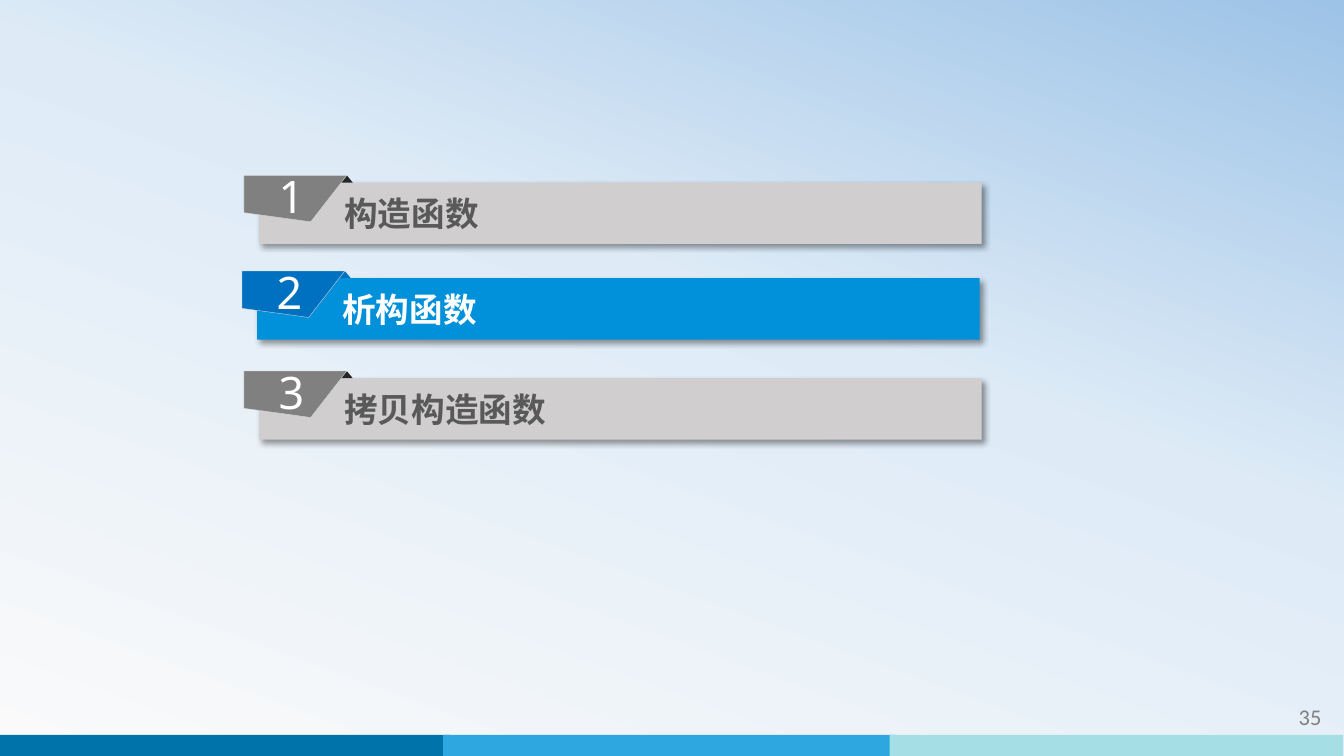
from dataclasses import dataclass

from lxml import etree
from pptx import Presentation
from pptx.dml.color import RGBColor
from pptx.enum.shapes import MSO_SHAPE
from pptx.enum.text import MSO_ANCHOR, PP_ALIGN
from pptx.oxml import parse_xml
from pptx.oxml.ns import nsdecls, qn
from pptx.util import Cm, Pt

RECTANGLE = MSO_SHAPE.RECTANGLE
TRIANGLE = MSO_SHAPE.ISOSCELES_TRIANGLE
MIDDLE = MSO_ANCHOR.MIDDLE
LEFT, CENTER, RIGHT = PP_ALIGN.LEFT, PP_ALIGN.CENTER, PP_ALIGN.RIGHT


@dataclass(frozen=True)
class RowColors:
    bar: str
    tag: str
    fold: str
    label: str


@dataclass(frozen=True)
class Theme:
    plain: RowColors = RowColors("D0CECE", "808080", "262626", "595959")
    active: RowColors = RowColors("0091DA", "0070C0", "0070C0", "FFFFFF")
    number: str = "FFFFFF"
    tag_edge: str = "D9D9D9"
    page: str = "808080"
    footer: tuple = ("0073AB", "2EA7E0", "A5DEE4")
    backdrop: tuple = ((0, "FAFAFA"), (58, "DEEBF7"), (100, "9DC3E6"))
    label_font: str = "Noto Sans CJK SC"
    number_font: str = "Noto Sans"
    page_font: str = "Calibri"
    label_size: int = 24
    number_size: int = 32
    page_size: int = 16


THEME = Theme()

# Tag position (cm), label and colours of each agenda row
AGENDA = (
    (6.15, 4.42, "构造函数", THEME.plain),
    (6.10, 6.83, "析构函数", THEME.active),
    (6.15, 9.35, "拷贝构造函数", THEME.plain),
)


def rgb(color):
    return RGBColor.from_string(color)


def paint_background(slide):
    fill = slide.background.fill
    fill.gradient()
    fill.gradient_angle = 70
    stops = slide.background._cSld.find(".//" + qn("a:gsLst"))
    for stop in list(stops):
        stops.remove(stop)
    for percent, color in THEME.backdrop:
        stop = etree.SubElement(stops, qn("a:gs"), pos=str(percent * 1000))
        etree.SubElement(stop, qn("a:srgbClr"), val=color)


def add_block(shapes, kind, left, top, width, height, color):
    block = shapes.add_shape(kind, Cm(left), Cm(top), Cm(width), Cm(height))
    block.shadow.inherit = False
    block.fill.solid()
    block.fill.fore_color.rgb = rgb(color)
    block.line.fill.background()
    return block


def write(shape, text, font_name, size, color, align, bold=False):
    paragraph = shape.text_frame.paragraphs[0]
    paragraph.alignment = align
    run = paragraph.add_run()
    run.text = text
    font = run.font
    font.name, font.size, font.bold = font_name, Pt(size), bold
    font.color.rgb = rgb(color)
    latin = run._r.rPr.find(qn("a:latin"))
    latin.addnext(latin.makeelement(qn("a:ea"), {"typeface": font_name}))


def set_insets(frame, left, top, right, bottom):
    frame.margin_left, frame.margin_top = Cm(left), Cm(top)
    frame.margin_right, frame.margin_bottom = Cm(right), Cm(bottom)


def cast_shadow(shape):
    effects = shape._element.spPr.find(qn("a:effectLst"))
    effects.append(parse_xml(
        f'<a:outerShdw {nsdecls("a")} blurRad="{Pt(4)}" dist="{Pt(3)}" '
        'dir="2700000" algn="tl" rotWithShape="0"><a:srgbClr val="000000">'
        '<a:alpha val="40000"/></a:srgbClr></a:outerShdw>'))


def add_number_tag(shapes, left, top, number, color):
    outline = ((0, 0), (2.59, 0), (1.68, 1.17), (0, 0.94))
    corners = [(Cm(left + x), Cm(top + y)) for x, y in outline]
    builder = shapes.build_freeform(*corners[0])
    builder.add_line_segments(corners[1:], close=True)
    tag = builder.convert_to_shape()
    tag.shadow.inherit = False
    tag.fill.solid()
    tag.fill.fore_color.rgb = rgb(color)
    tag.line.color.rgb = rgb(THEME.tag_edge)
    tag.line.width = Pt(0.25)
    tag.text_frame.vertical_anchor = MIDDLE
    set_insets(tag.text_frame, 0.23, 0.1, 0.43, 0.25)
    write(tag, str(number), THEME.number_font, THEME.number_size,
          THEME.number, CENTER)


def add_agenda_row(slide, number, left, top, label, colors):
    shapes = slide.shapes.add_group_shape().shapes
    # Label bar
    bar = add_block(shapes, RECTANGLE, left + 0.38, top + 0.18, 18.21, 1.55,
                    colors.bar)
    cast_shadow(bar)
    bar.text_frame.vertical_anchor = MIDDLE
    set_insets(bar.text_frame, 2.15, 0.13, 0.25, 0.13)
    write(bar, label, THEME.label_font, THEME.label_size, colors.label,
          LEFT, bold=True)
    # Folded corner behind the number tag
    add_block(shapes, TRIANGLE, left + 2.44, top, 0.3, 0.18, colors.fold)
    add_number_tag(shapes, left, top, number, colors.tag)


def add_footer(slide, page):
    for index, color in enumerate(THEME.footer):
        add_block(slide.shapes, RECTANGLE, -0.08 + index * 11.25, 18.52,
                  11.43, 0.53, color)
    page_box = slide.shapes.add_textbox(Cm(29.51), Cm(17.55), Cm(4.04), Cm(1.02))
    page_box.text_frame.word_wrap = True
    page_box.text_frame.vertical_anchor = MIDDLE
    write(page_box, page, THEME.page_font, THEME.page_size, THEME.page, RIGHT)


def main():
    deck = Presentation()
    deck.slide_width, deck.slide_height = Cm(33.87), Cm(19.05)
    blank_layout = deck.slide_layouts[6]
    slide = deck.slides.add_slide(blank_layout)
    paint_background(slide)
    add_footer(slide, "35")
    for number, row in enumerate(AGENDA, start=1):
        add_agenda_row(slide, number, *row)
    deck.save("out.pptx")


if __name__ == "__main__":
    main()
